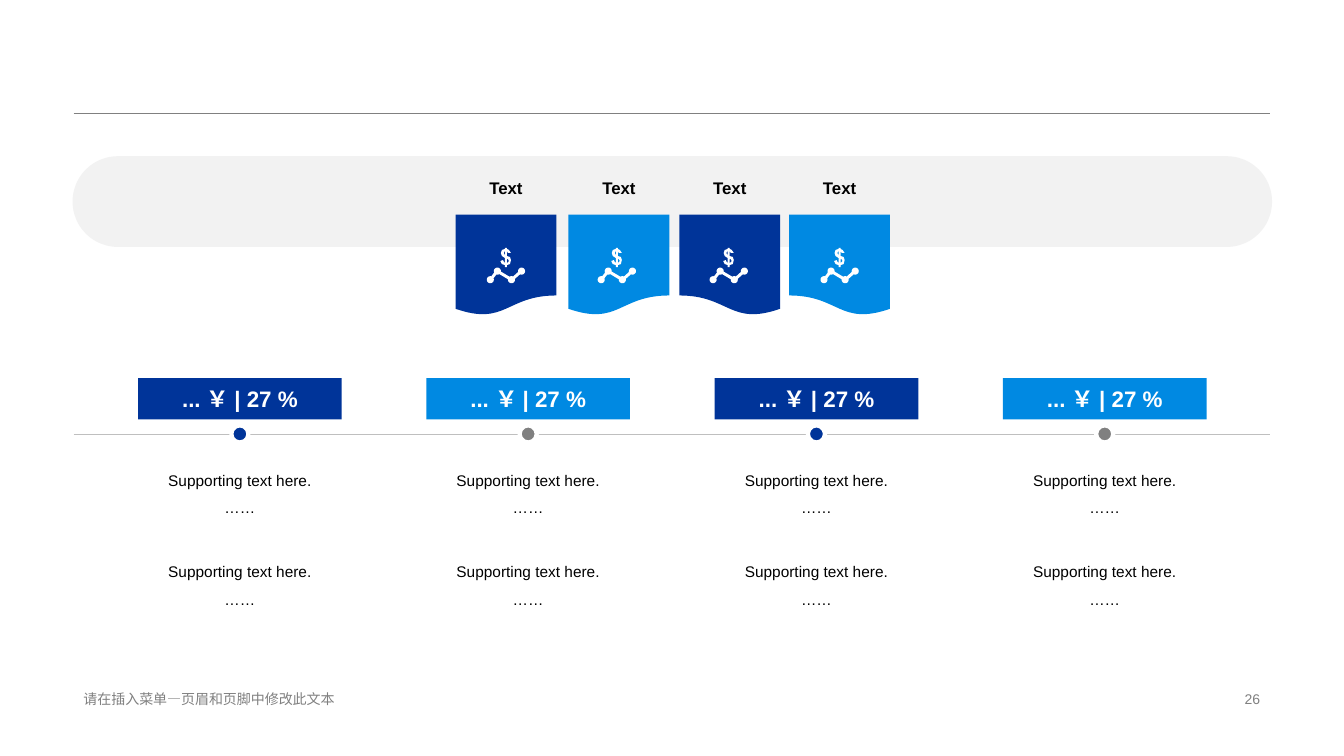
from math import cos, radians, sin
from pptx import Presentation
from pptx.dml.color import RGBColor as Rgb
from pptx.enum.shapes import MSO_CONNECTOR as Link, MSO_SHAPE as Kind
from pptx.enum.text import MSO_ANCHOR as Anchor, PP_ALIGN as Align
from pptx.oxml.ns import qn
from pptx.util import Inches, Pt

HUES = {"navy": "003499", "blue": "0089E2", "gray": "808080", "rule": "BFBFBF",
        "band": "F2F2F2", "white": "FFFFFF", "black": "000000"}
WIDE, HIGH = 40 / 3, 7.5
EDGE, SPAN = 0.73, 11.87
FILLS = ["navy", "blue"] * 2
DOTS = ["navy", "gray"] * 2
FLAGS = [4.52, 5.64, 6.74, 7.83]
ICONS = [4.83, 5.93, 7.04, 8.14]
ARCS = [(3.5, 31.5, -24, 286), (10.5, 23, 156, 367), (24.5, 31.5, 237, 296),
        (34.5, 23, 166, 476), (24.5, 31.5, -14, 187), (10.5, 23, 57, 106)]
DOLLAR = [
    [(18, 0), (20, 0), (20, 1), (22, 2), (24, 5), (21, 5), (20, 3), (20, 8), (23, 9),
     (24, 12), (23, 16), (20, 17), (20, 19), (18, 19), (18, 17), (15, 16), (13.5, 13),
     (16, 12), (17, 14), (18, 15), (18, 10), (15, 8), (14, 5), (15, 2), (18, 1)],
    [(20, 11), (20, 15), (21, 14), (22, 13), (21, 11)],
    [(18, 3), (17, 4), (17, 6), (18, 7)],
]


def hue(name):
    """Return the named colour."""
    return Rgb.from_string(HUES[name])


def paint(shape, fill, edge=None, width=0):
    """Fill a shape and set its outline, without a shadow."""
    shape.shadow.inherit = False
    shape.fill.solid()
    shape.fill.fore_color.rgb = hue(fill)
    if edge:
        shape.line.color.rgb = hue(edge)
        shape.line.width = Pt(width)
    else:
        shape.line.fill.background()
    return shape


def block(slide, kind, box, fill, edge=None, width=0):
    """Add a painted preset shape in a box."""
    shape = slide.shapes.add_shape(kind, *map(Inches, box))
    return paint(shape, fill, edge, width)


def rule(slide, start, end, color, width):
    """Add a straight line between two points."""
    line = slide.shapes.add_connector(Link.STRAIGHT, *map(Inches, start + end))
    line.line.color.rgb = hue(color)
    line.line.width = Pt(width)
    props = line._element.spPr
    props.append(props.makeelement(qn("a:effectLst"), {}))


def write(shape, lines, size, color, align=Align.CENTER, bold=False, space=1,
          anchor=Anchor.MIDDLE):
    """Write paragraphs of one style into a shape."""
    frame = shape.text_frame
    frame.word_wrap = True
    frame.vertical_anchor = anchor
    frame.text = "\n".join(lines)
    for para in frame.paragraphs:
        para.alignment = align
        para.line_spacing = space
        font = para.font
        font.name, font.size, font.bold = "Arial", Pt(size), bold
        font.color.rgb = hue(color)


def label(slide, box, lines, size, color, **style):
    """Add a text box."""
    write(slide.shapes.add_textbox(*map(Inches, box)), lines, size, color, **style)


def arc(x, y, start, end, radius=3.5, steps=16):
    """Return points along an arc given in degrees."""
    turns = [radians(start + (end - start) * step / steps) for step in range(steps + 1)]
    return [(x + radius * cos(turn), y + radius * sin(turn)) for turn in turns]


def icon(slide, left, top):
    """Draw a dollar sign over a line of linked dots."""
    chain = [spot for bend in ARCS for spot in arc(*bend)]
    loops = [[(Inches(left + x / 100), Inches(top + y / 100)) for x, y in loop]
             for loop in [chain, *DOLLAR]]
    pen = slide.shapes.build_freeform(*loops[0][0])
    pen.add_line_segments(loops[0][1:], close=True)
    for loop in loops[1:]:
        pen.move_to(*loop[0])
        pen.add_line_segments(loop[1:], close=True)
    paint(pen.convert_to_shape(), "white")


def flag(slide, left, top, fill, flip):
    """Draw one titled flag."""
    shape = block(slide, Kind.FLOWCHART_DOCUMENT, (left, top, 1, 1), fill)
    if flip:
        shape._element.spPr.xfrm.set("flipH", "1")
    label(slide, (left, top - 0.46, 1, 0.39), ["Text"], 12, "black", bold=True)


def banner(slide, left, top, width):
    """Draw the rounded band, its four flags and their icons."""
    band = block(slide, Kind.ROUNDED_RECTANGLE, (left, top, width, 0.9), "band")
    band.adjustments[0] = 0.5
    for col, (x, spot, fill) in enumerate(zip(FLAGS, ICONS, FILLS)):
        flag(slide, x, top + 0.58, fill, col > 1)
        icon(slide, spot, top + 0.91)


def column(slide, left, top, width, fill, dot):
    """Draw one figure, its dot and the two notes below."""
    bar = block(slide, Kind.RECTANGLE, (left, top, width, 0.41), fill)
    write(bar, ["... ￥ | 27 %"], 16, "white", bold=True)
    mid = left + width / 2
    block(slide, Kind.OVAL, (mid - 0.085, top + 0.47, 0.17, 0.17), dot, "white", 3)
    for row in range(2):
        label(slide, (left, top + 0.78 + row * 0.91, width, 0.68),
              ["Supporting text here.", "……"], 11, "black",
              space=1.5, anchor=Anchor.TOP)


def timeline(slide, left, top, width):
    """Draw the axis and its four columns."""
    rule(slide, (left, top + 0.56), (left + width, top + 0.56), "rule", 0.25)
    for col, (fill, dot) in enumerate(zip(FILLS, DOTS)):
        column(slide, left + 0.64 + col * 2.86, top, 2.02, fill, dot)


def footer(slide, left, top, width):
    """Write the footer text and the page number."""
    label(slide, (left, top, 4.53, 0.23), ["请在插入菜单—页眉和页脚中修改此文本"],
          10, "gray", align=Align.LEFT)
    label(slide, (left + width - 3.18, top, 3.18, 0.23), ["26"],
          10, "gray", align=Align.RIGHT)


def main():
    """Build and save the slide."""
    deck = Presentation()
    deck.slide_width, deck.slide_height = Inches(WIDE), Inches(HIGH)
    slide = deck.slides.add_slide(deck.slide_layouts[6])
    rule(slide, (EDGE, 1.12), (EDGE + SPAN, 1.12), "gray", 0.25)
    banner(slide, 0.72, 1.55, 11.9)
    timeline(slide, EDGE, 3.75, SPAN)
    footer(slide, EDGE, 6.82, SPAN)
    deck.save("out.pptx")


if __name__ == "__main__":
    main()
